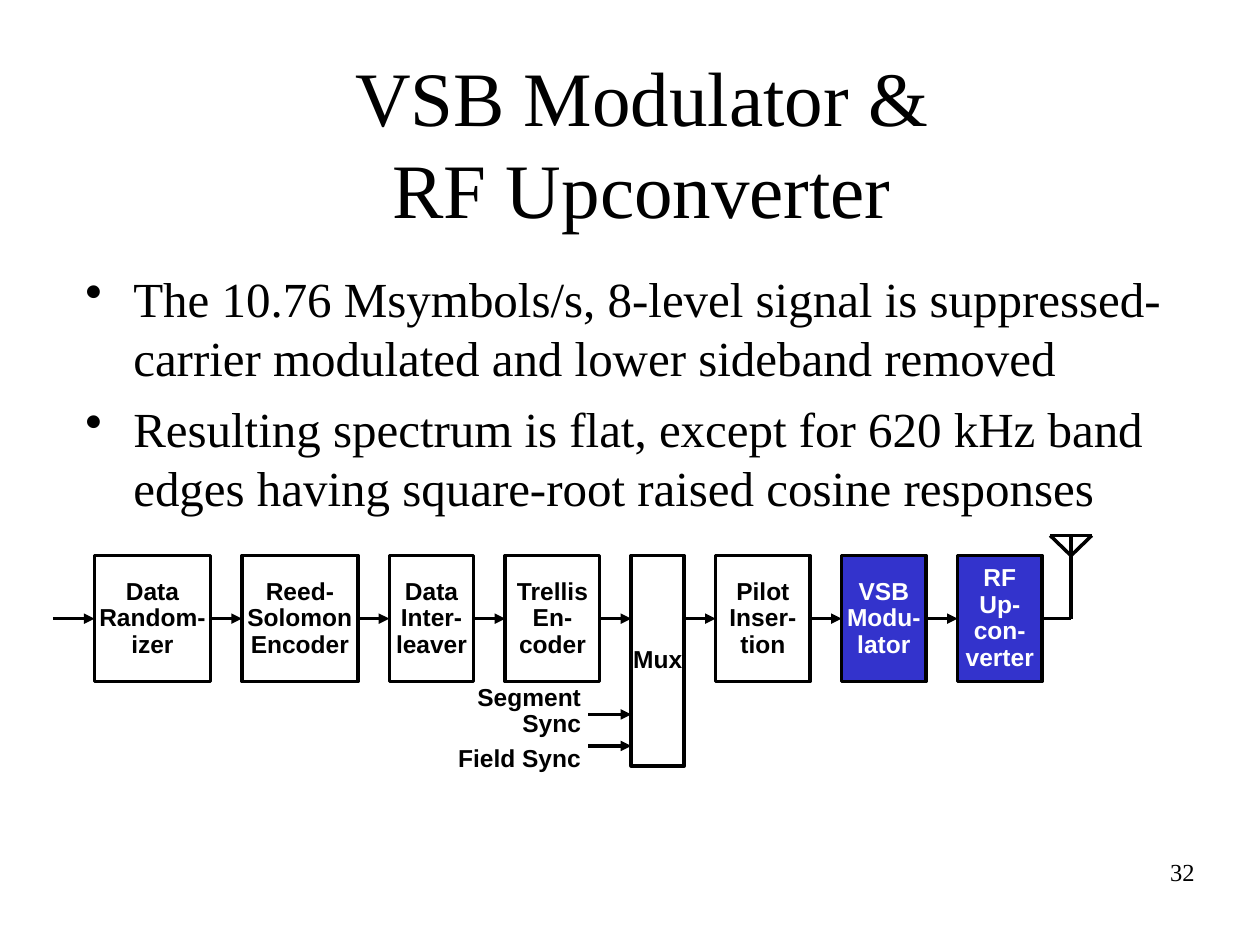
from lxml.etree import SubElement
from pptx import Presentation
from pptx.dml.color import RGBColor as RGB
from pptx.enum.shapes import MSO_CONNECTOR as LINK, MSO_SHAPE as SHAPE
from pptx.enum.text import MSO_ANCHOR as ANCHOR, PP_ALIGN as ALIGN
from pptx.oxml.ns import qn
from pptx.util import Inches, Pt

COLORS = {"ink": "000000", "paper": "FFFFFF", "focus": "3333CC"}
SERIF, SANS = "Times New Roman", "Arial"
TOP, HIGH, GAP = 4.41, 1, 0.25
FLOW = 4.91

# lines of the label, width, height, fill, text colour
PLAIN = ("paper", "ink")
FOCUS = ("focus", "paper")
STAGES = [
    (["Data", "Random-", "izer"], 0.92, HIGH, PLAIN),
    (["Reed-", "Solomon", "Encoder"], 0.92, HIGH, PLAIN),
    (["Data", "Inter-", "leaver"], 0.67, HIGH, PLAIN),
    (["Trellis", "En-", "coder"], 0.75, HIGH, PLAIN),
    (["Mux"], 0.42, 1.67, PLAIN),
    (["Pilot", "Inser-", "tion"], 0.75, HIGH, PLAIN),
    (["VSB", "Modu-", "lator"], 0.67, HIGH, FOCUS),
    (["RF", "Up-", "con-", "verter"], 0.67, HIGH, FOCUS),
]
BULLETS = [
    "The 10.76 Msymbols/s, 8-level signal is suppressed-carrier modulated "
    "and lower sideband removed",
    "Resulting spectrum is flat, except for 620 kHz band edges having "
    "square-root raised cosine responses",
]


def color(name):
    return RGB.from_string(COLORS[name])


def set_frame(frame, anchor, wrap, side, edge):
    frame.word_wrap = wrap
    frame.vertical_anchor = anchor
    frame.margin_left = frame.margin_right = Inches(side)
    frame.margin_top = frame.margin_bottom = Inches(edge)


def add_lines(frame, lines, face, size, align, ink="ink", bold=False,
              space=None, gap=0, bullet=False):
    """Write one paragraph per line; gap is the points between them."""
    for i, line in enumerate(lines):
        para = frame.add_paragraph() if i else frame.paragraphs[0]
        para.alignment = align
        if bullet:
            add_bullet(para)
        if space:
            para.line_spacing = space
        if i and gap:
            para.space_before = Pt(gap)
        for j, part in enumerate(line.split("\n")):
            if j:
                para.add_line_break()
            run = para.add_run()
            run.text = part
            font = run.font
            font.name, font.size, font.bold = face, Pt(size), bold
            font.color.rgb = color(ink)


def add_bullet(para):
    props = para._p.get_or_add_pPr()
    props.set("marL", str(Inches(0.38)))
    props.set("indent", str(-Inches(0.38)))
    SubElement(props, qn("a:buChar")).set("char", "•")


def add_text(slide, spot, lines, face, size, align, anchor=ANCHOR.TOP,
             wrap=True, edge=0.05, **style):
    box = slide.shapes.add_textbox(*map(Inches, spot))
    set_frame(box.text_frame, anchor, wrap, 0.1, edge)
    add_lines(box.text_frame, lines, face, size, align, **style)


def add_stage(slide, left, lines, width, height, look):
    fill, ink = look
    box = slide.shapes.add_shape(
        SHAPE.RECTANGLE, *map(Inches, (left, TOP, width, height)))
    box.shadow.inherit = False
    box.fill.solid()
    box.fill.fore_color.rgb = color(fill)
    box.line.color.rgb = color("ink")
    box.line.width = Pt(2)
    set_frame(box.text_frame, ANCHOR.MIDDLE, False, 0, 0)
    add_lines(box.text_frame, lines, SANS, 14, ALIGN.CENTER, ink,
              bold=True, space=0.9)


def add_line(slide, x1, y1, x2, y2, head=False):
    link = slide.shapes.add_connector(
        LINK.STRAIGHT, *map(Inches, (x1, y1, x2, y2)))
    link.line.color.rgb = color("ink")
    link.line.width = Pt(2)
    if head:
        SubElement(link.line._get_or_add_ln(),
                   qn("a:tailEnd")).set("type", "triangle")
    SubElement(link._element.spPr, qn("a:effectLst"))


def add_chain(slide):
    """Draw the stages left to right, each with its input arrow."""
    left, start = 0.75, 0.42
    for lines, width, height, look in STAGES:
        add_stage(slide, left, lines, width, height, look)
        add_line(slide, start, FLOW, left, FLOW, head=True)
        start = left + width
        left = start + GAP
    return start


def add_mast(slide, start):
    """Draw the antenna fed from the last stage."""
    mid, half, tip = 8.5, 0.165, 4.25
    add_line(slide, start, FLOW, mid, FLOW)
    add_line(slide, mid, FLOW, mid, tip)
    add_line(slide, mid - half, tip, mid + half, tip)
    for side in (-half, half):
        add_line(slide, mid + side, tip, mid, TOP)


def add_syncs(slide):
    add_text(slide, (3.17, 5.49, 1.54, 0.59), ["Segment Sync", "Field Sync"],
             SANS, 14, ALIGN.RIGHT, ANCHOR.MIDDLE, wrap=False, edge=0,
             bold=True, space=0.9, gap=5)
    for y in (5.67, 5.92):
        add_line(slide, 4.67, y, 5.01, y, head=True)


def main():
    deck = Presentation()
    deck.slide_width, deck.slide_height = Inches(10), Inches(7.5)
    slide = deck.slides.add_slide(deck.slide_layouts[6])
    add_text(slide, (0.42, 0.5, 9.35, 1.25),
             ["VSB Modulator &\nRF Upconverter"], SERIF, 44, ALIGN.CENTER,
             ANCHOR.MIDDLE)
    add_text(slide, (0.58, 2.08, 8.75, 2.08), BULLETS, SERIF, 28, ALIGN.LEFT,
             gap=7, bullet=True)
    add_mast(slide, add_chain(slide))
    add_syncs(slide)
    add_text(slide, (7.5, 6.75, 2.08, 0.5), ["32"], SERIF, 14, ALIGN.RIGHT)
    deck.save("out.pptx")


if __name__ == "__main__":
    main()
